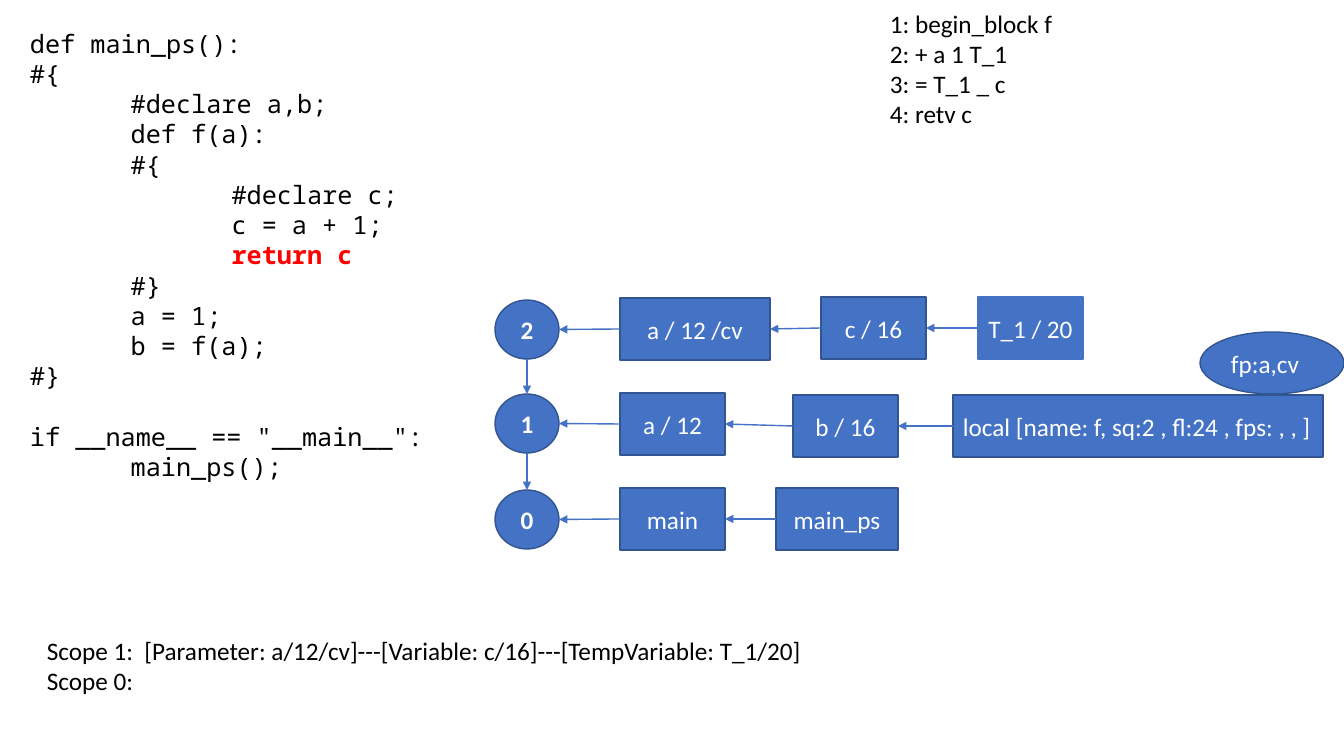
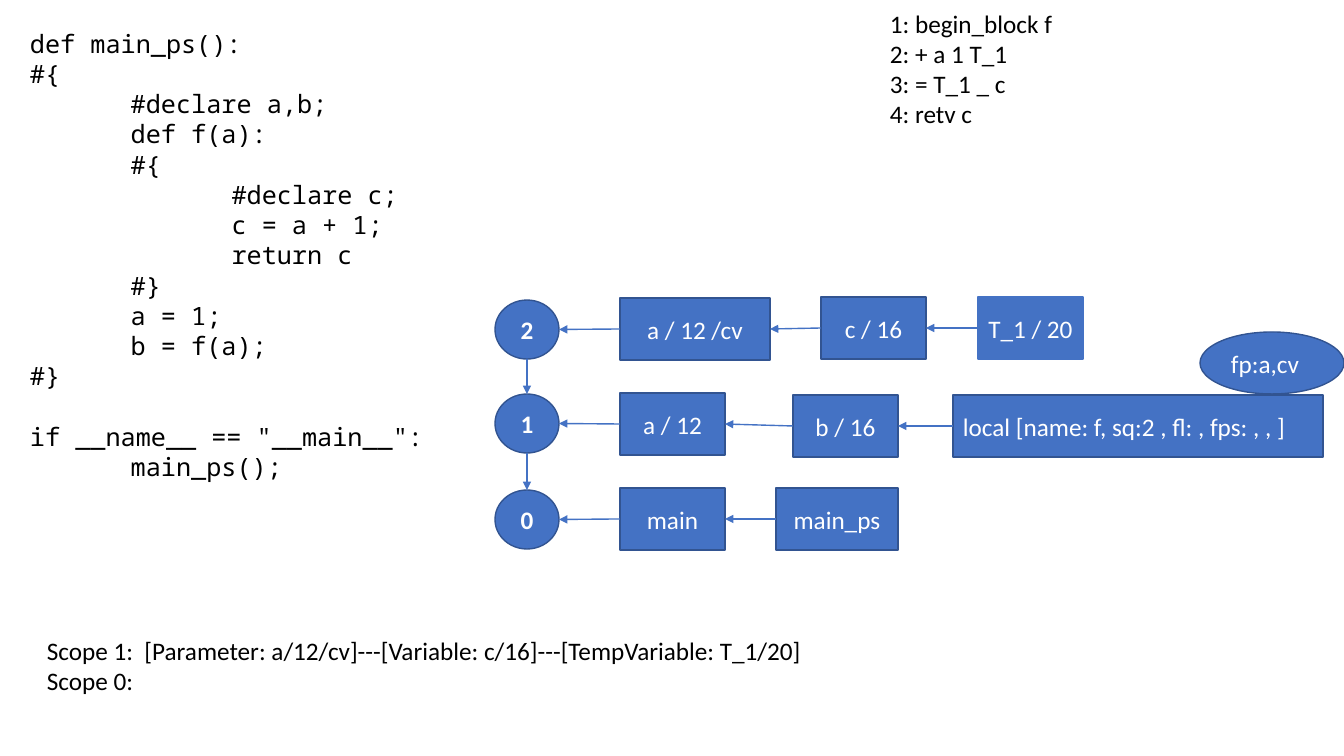
from dataclasses import dataclass
from itertools import pairwise
from lxml.etree import SubElement
from pptx import Presentation
from pptx.dml.color import RGBColor
from pptx.enum.shapes import MSO_CONNECTOR, MSO_SHAPE
from pptx.enum.text import MSO_ANCHOR, MSO_AUTO_SIZE, PP_ALIGN
from pptx.oxml.ns import qn
from pptx.util import Emu, Pt


@dataclass(frozen=True)
class Theme:
    fill: RGBColor = RGBColor.from_string("4472C4")
    edge: RGBColor = RGBColor.from_string("325491")
    ink: RGBColor = RGBColor.from_string("000000")
    light: RGBColor = RGBColor.from_string("FFFFFF")
    mark: RGBColor = RGBColor.from_string("FF0000")
    body: str = "Calibri"
    mono: str = "Noto Sans Mono"
    size: Pt = Pt(18)
    gap: Pt = Pt(21.6)
    stroke: Pt = Pt(1)


theme = Theme()
SCALE = 914400 / 100.8
TOP, LEFT, BOTTOM, RIGHT = range(4)
TAB = 914400

# Code lines: indent depth and text
code = [
    (0, "def main_ps():"),
    (0, "#{"),
    (1, "#declare a,b;"),
    (1, "def f(a):"),
    (1, "#{"),
    (2, "#declare c;"),
    (2, "c = a + 1;"),
    (2, "return c"),
    (1, "#}"),
    (1, "a = 1;"),
    (1, "b = f(a);"),
    (0, "#}"),
    (0, 'if __name__ == "__main__":'),
    (1, "main_ps();"),
]
quads = ["1: begin_block f", "2: + a 1 T_1", "3: = T_1 _ c", "4: retv c"]
scopes = [
    "Scope 1:  [Parameter: a/12/cv]---[Variable: c/16]---[TempVariable: T_1/20]",
    "Scope 0:",
]

# Symbol table: scope, circle top, then boxes as text, left, top, width
table = [
    ("2", 300, [("a / 12 /cv", 620, 298, 150), ("c / 16", 821, 297, 105),
                ("T_1 / 20", 978, 297, 105)]),
    ("1", 394, [("a / 12", 620, 393, 105), ("b / 16", 793, 395, 105),
                ("local [name: f, sq:2 , fl:{} , fps: , , ]", 953, 395, 370)]),
    ("0", 490, [("main", 620, 488, 105), ("main_ps", 776, 488, 122)]),
]

# What differs per slide: frame length and the line in focus
steps = [("24", "return c"), ("", None)]

deck = Presentation()
deck.slide_width, deck.slide_height = Emu(round(1344 * SCALE)), Emu(round(756 * SCALE))


def write(slide, lines, box, font=theme.body, kind=None):
    """Add a plain text box, or a filled shape when a kind is given."""
    place = [Emu(round(n * SCALE)) for n in box]
    if kind is None:
        shape = slide.shapes.add_textbox(*place)
    else:
        shape = slide.shapes.add_shape(kind, *place)
        shape.shadow.inherit = False
        shape.fill.solid()
        shape.fill.fore_color.rgb = theme.fill
        shape.line.color.rgb = theme.edge
        shape.line.width = theme.stroke
    frame = shape.text_frame
    frame.word_wrap = True
    frame.text = "\n".join(lines)
    if kind is None:
        frame.auto_size = MSO_AUTO_SIZE.SHAPE_TO_FIT_TEXT
    else:
        frame.vertical_anchor = MSO_ANCHOR.MIDDLE
    for para in frame.paragraphs:
        para.alignment = PP_ALIGN.LEFT if kind is None else PP_ALIGN.CENTER
        for run in para.runs:
            run.font.name, run.font.size = font, theme.size
            run.font.color.rgb = theme.ink if kind is None else theme.light
    return shape


def join(slide, start, out, end, side):
    """Draw an arrow glued to one side of each shape."""
    link = slide.shapes.add_connector(MSO_CONNECTOR.STRAIGHT, 0, 0, 0, 0)
    link.begin_connect(start, out)
    link.end_connect(end, side)
    # An ellipse has eight sites, so its sides are every second one
    ends = link._element.nvCxnSpPr.cNvCxnSpPr
    for shape, site in ((start, ends.stCxn), (end, ends.endCxn)):
        if shape.auto_shape_type == MSO_SHAPE.OVAL:
            site.set("idx", str(2 * int(site.get("idx"))))
    link.line.color.rgb = theme.fill
    link.line.width = theme.stroke
    SubElement(link.line._get_or_add_ln(), qn("a:tailEnd"), type="triangle")
    SubElement(link._element.spPr, qn("a:effectLst"))


for length, focus in steps:
    slide = deck.slides.add_slide(deck.slide_layouts[6])

    # Source code
    shape = write(slide, [text for _, text in code], (20, 23, 578, 468), theme.mono)
    for para, (depth, text) in zip(shape.text_frame.paragraphs, code):
        props = para._p.get_or_add_pPr()
        props.set("marL", str(depth * TAB))
        props.set("indent", "0")
        if text.startswith("if "):
            para.space_before = theme.gap
        if text == focus:
            para.runs[0].font.bold = True
            para.runs[0].font.color.rgb = theme.mark

    # Scope stack with its chains of symbols
    rings = []
    for scope, top, boxes in table:
        ring = write(slide, [scope], (495, top, 64, 59), kind=MSO_SHAPE.OVAL)
        ring.text_frame.paragraphs[0].runs[0].font.bold = True
        rings.append(ring)
        chain = [ring]
        for text, x, y, width in boxes:
            box = write(slide, [text.format(length)], (x, y, width, 62),
                        kind=MSO_SHAPE.RECTANGLE)
            if text.startswith("local"):
                box.text_frame.paragraphs[0].alignment = PP_ALIGN.LEFT
            if text.startswith("T_"):
                box.line.color.rgb = theme.fill
            chain.append(box)
        for near, far in pairwise(chain):
            join(slide, far, LEFT, near, RIGHT)
    for upper, lower in pairwise(rings):
        join(slide, upper, BOTTOM, lower, TOP)

    # Parameter list of the function
    params = write(slide, ["fp:a,cv"], (1200, 332, 144, 62), kind=MSO_SHAPE.OVAL)
    params.text_frame.paragraphs[0].alignment = PP_ALIGN.LEFT

    # Intermediate code and scope listing
    write(slide, quads, (880, 3, 258, 132))
    write(slide, scopes, (37, 630, 1101, 72))

deck.save("out.pptx")
